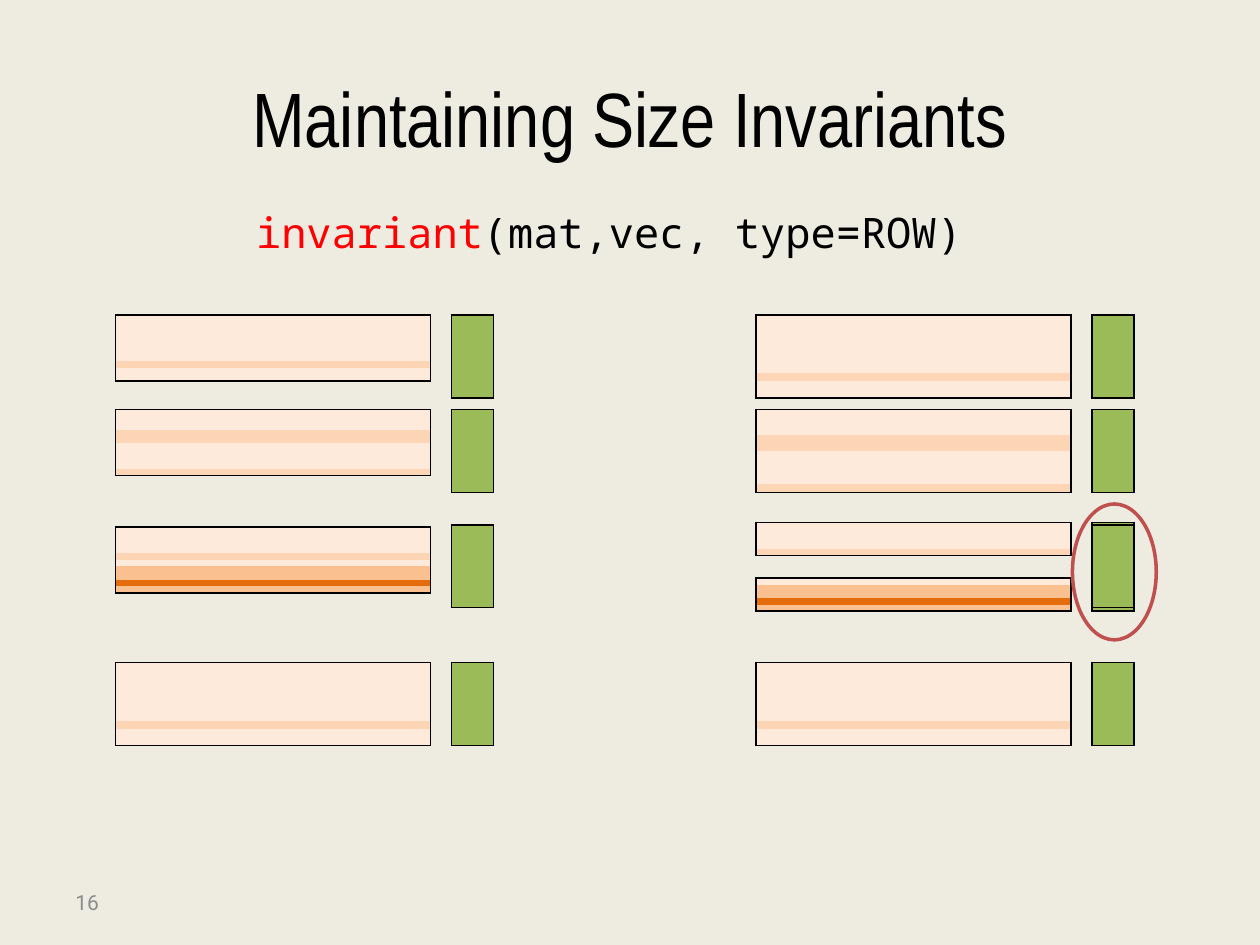
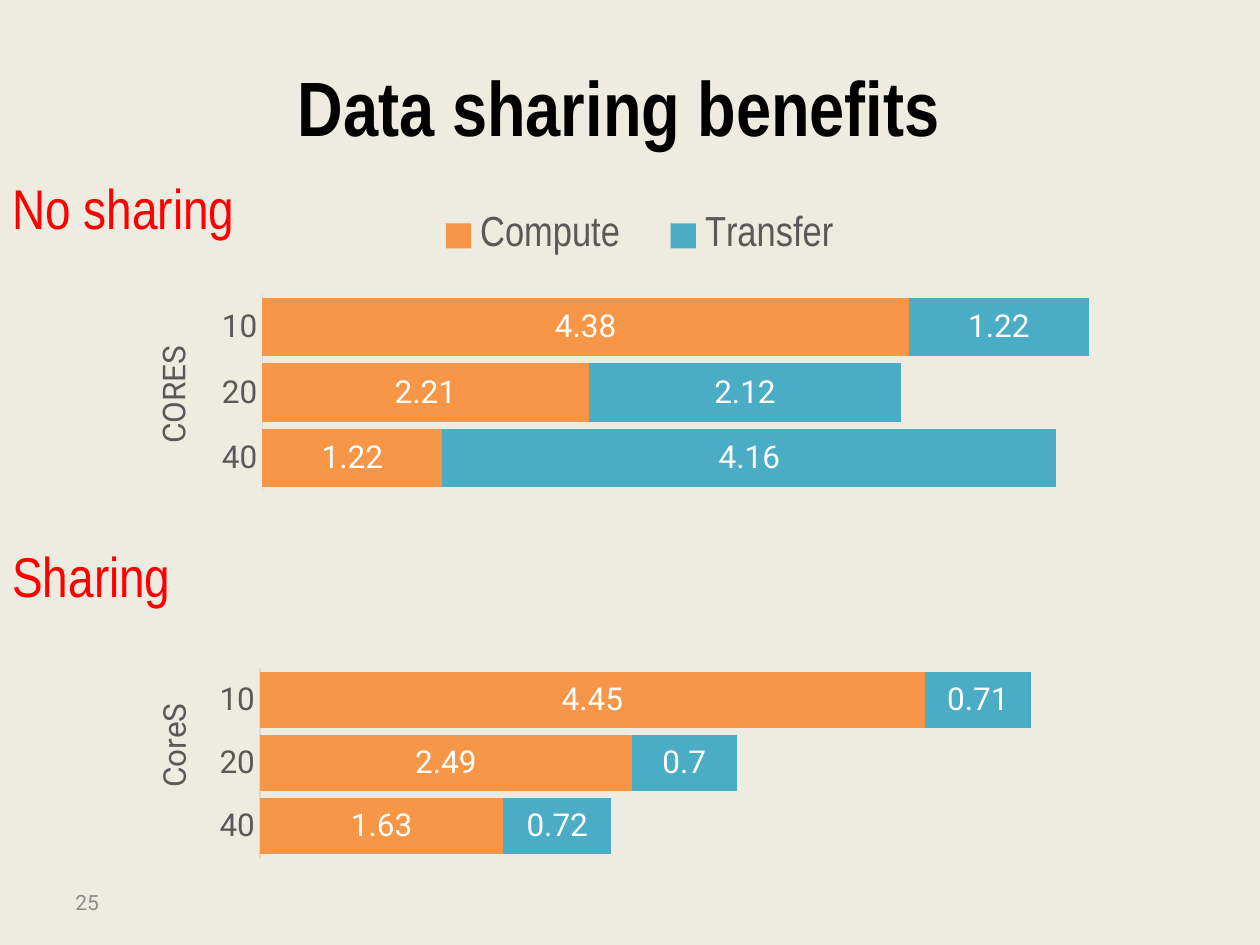
from dataclasses import dataclass
from typing import Any

import lxml.etree
import pptx
import pptx.chart.data
import pptx.dml.color
import pptx.enum.chart
import pptx.enum.shapes
import pptx.enum.text
import pptx.oxml.ns
import pptx.util

Cm = pptx.util.Cm
Pt = pptx.util.Pt
qn = pptx.oxml.ns.qn
Align = pptx.enum.text.PP_ALIGN
Anchor = pptx.enum.text.MSO_ANCHOR
Fit = pptx.enum.text.MSO_AUTO_SIZE


# Colours, fonts and type sizes
@dataclass(frozen=True)
class Theme:
    paper: str = "EEECE1"
    ink: str = "000000"
    red: str = "FF0000"
    ring: str = "C0504D"
    gray: str = "595959"
    pale: str = "8C8C8C"
    rule: str = "D9D9D9"
    white: str = "FFFFFF"
    bars: tuple = ("F79646", "4BACC6")
    head: str = "Arial Narrow"
    code: str = "Noto Sans Mono"
    body: str = "Roboto"
    big: int = 44
    mark: int = 32
    mid: int = 24
    small: int = 18
    foot: int = 12


T = Theme()
# Row kinds: a-d are matrix shades, v is the vector
SHADES = {"a": "FDEADA", "b": "FCD5B5", "c": "FAC090", "d": "E46C0A", "v": "9BBB59"}


@dataclass(frozen=True)
class Box:
    x: float
    y: float
    w: float
    h: float

    def at(self) -> tuple:
        return Cm(self.x), Cm(self.y), Cm(self.w), Cm(self.h)


@dataclass(frozen=True)
class Run:
    text: str
    size: int
    face: str
    color: str
    bold: bool = False


@dataclass(frozen=True)
class Block:
    x: float
    y: float
    w: float
    h: float
    rows: str


@dataclass(frozen=True)
class Graph:
    box: Box
    axis: str
    spot: tuple
    plot: tuple
    data: dict
    key: tuple = ()


# Shared helpers
def rgb(code: str) -> Any:
    return pptx.dml.color.RGBColor.from_string(code)


def apply(item: Any, vals: dict) -> None:
    for name, val in vals.items():
        setattr(item, name, val)


def ink(font: Any, size: int, face: str, color: str, bold: bool = False) -> None:
    apply(font, {"size": Pt(size), "name": face, "bold": bold})
    font.color.rgb = rgb(color)


def write(shape: Any, runs: list[Run], align: Any, anchor: Any, fit: Any) -> None:
    frame = shape.text_frame
    apply(frame, {"word_wrap": True, "auto_size": fit, "vertical_anchor": anchor})
    line = frame.paragraphs[0]
    line.alignment = align
    for part in runs:
        run = line.add_run()
        run.text = part.text
        ink(run.font, part.size, part.face, part.color, part.bold)


def label(slide: Any, box: Box, runs: list[Run], align: Any = Align.LEFT,
          anchor: Any = Anchor.TOP, fit: Any = Fit.SHAPE_TO_FIT_TEXT) -> None:
    write(slide.shapes.add_textbox(*box.at()), runs, align, anchor, fit)


def start(deck: Any, title: str, box: Box, page: str, bold: bool = False) -> Any:
    """Add a slide with its background, title and page number."""
    slide = deck.slides.add_slide(deck.slide_layouts[5])
    fill = slide.background.fill
    fill.solid()
    fill.fore_color.rgb = rgb(T.paper)
    head = slide.shapes.title
    apply(head, dict(zip(("left", "top", "width", "height"), box.at())))
    write(head, [Run(title, T.big, T.head, T.ink, bold)],
          Align.CENTER, Anchor.MIDDLE, Fit.NONE)
    label(slide, Box(1.27, 17.68, 5.92, 1.02), [Run(page, T.foot, T.body, T.pale)],
          anchor=Anchor.MIDDLE, fit=Fit.NONE)
    return slide


# Striped tables
def edge(cell: Any, sides: str) -> None:
    props = cell._tc.get_or_add_tcPr()
    for side in sides:
        line = lxml.etree.SubElement(props, qn(f"a:ln{side}"), w=str(Pt(1)))
        fill = lxml.etree.SubElement(line, qn("a:solidFill"))
        lxml.etree.SubElement(fill, qn("a:srgbClr"), val=T.ink)


def stripe(slide: Any, block: Block) -> None:
    count = len(block.rows)
    box = Box(block.x, block.y, block.w, block.h)
    table = slide.shapes.add_table(count, 1, *box.at()).table
    apply(table, {"first_row": False, "horz_banding": False})
    # "No style, no grid"
    table._tbl.tblPr.find(qn("a:tableStyleId")).text = "{2D5ABB26-0587-4C30-8999-92F81FD0307C}"
    for i, kind in enumerate(block.rows):
        cell = table.cell(i, 0)
        apply(cell, {f"margin_{s}": 0 for s in ("left", "right", "top", "bottom")})
        edge(cell, "LR" + "T" * (i == 0) + "B" * (i == count - 1))
        cell.fill.solid()
        cell.fill.fore_color.rgb = rgb(SHADES[kind])
        # Tiny type keeps the rows thin
        lxml.etree.SubElement(cell.text_frame.paragraphs[0]._p, qn("a:endParaRPr"), sz="100")


# Stacked bar charts
def place(node: Any, index: int, spot: tuple, inner: bool = False) -> None:
    """Give a chart part a manual layout in fractions of the chart."""
    for old in node.findall(qn("c:layout")):
        node.remove(old)
    layout = lxml.etree.Element(qn("c:layout"))
    manual = lxml.etree.SubElement(layout, qn("c:manualLayout"))
    vals = {"layoutTarget": "inner"} if inner else {}
    vals |= {"xMode": "edge", "yMode": "edge"} | dict(zip("xywh", spot))
    for name, val in vals.items():
        lxml.etree.SubElement(manual, qn(f"c:{name}"), val=str(val))
    node.insert(index, layout)


def draw(slide: Any, graph: Graph) -> None:
    data = pptx.chart.data.CategoryChartData()
    data.categories = ["10", "20", "40"]
    for name, vals in graph.data.items():
        data.add_series(name, vals)
    kind = pptx.enum.chart.XL_CHART_TYPE.BAR_STACKED
    chart = slide.shapes.add_chart(kind, *graph.box.at(), data).chart
    apply(chart, {"has_title": False, "has_legend": bool(graph.key)})
    ink(chart.font, T.small, T.body, T.ink)
    plot = chart.plots[0]
    apply(plot, {"gap_width": 12, "overlap": 100, "vary_by_categories": False})
    for series, color in zip(plot.series, T.bars):
        series.format.fill.solid()
        series.format.fill.fore_color.rgb = rgb(color)
        tags = series.data_labels
        apply(tags, {"show_value": True,
                     "position": pptx.enum.chart.XL_LABEL_POSITION.CENTER})
        ink(tags.font, T.small, T.body, T.white)

    # Axes
    apply(chart.value_axis, {"minimum_scale": 0, "maximum_scale": 6,
                             "has_major_gridlines": False, "visible": False})
    axis = chart.category_axis
    none = pptx.enum.chart.XL_TICK_MARK.NONE
    apply(axis, {"reverse_order": True, "major_tick_mark": none,
                 "minor_tick_mark": none, "has_major_gridlines": False})
    ink(axis.tick_labels.font, T.small, T.body, T.gray)
    axis.format.line.width = Pt(0.75)
    axis.format.line.color.rgb = rgb(T.rule)
    run = axis.axis_title.text_frame.paragraphs[0].add_run()
    run.text = graph.axis
    ink(run.font, T.small, T.body, T.gray)
    title = axis.axis_title._element
    apply_rot = title.find(".//" + qn("a:bodyPr"))
    for name, val in {"rot": "-5400000", "vert": "horz"}.items():
        apply_rot.set(name, val)
    place(title, 1, graph.spot)
    place(chart._chartSpace.chart.plotArea, 0, graph.plot, True)

    # Legend
    if graph.key:
        chart.legend.include_in_layout = False
        ink(chart.legend.font, T.mid, T.head, T.gray)
        place(chart.legend._element, 1, graph.key)


# Slide: matrices and vectors, before and after
LEFT, RIGHT = 2.33, 15.24
WIDE, SLIM, GAP = 6.35, 0.85, 6.77
TALL, LOW, HALF = 1.67, 1.33, 0.67
TOPS = (6.35, 8.26, 13.36)
ONE, TWO = "aaaaaaabaa", "aaabbaaaab"
VEC = "v" * 10


def sizes(deck: Any) -> None:
    slide = start(deck, "Maintaining Size Invariants", Box(1.27, 0.76, 22.86, 3.18), "16")
    for x, highs in ((LEFT, (LOW, LOW, TALL)), (RIGHT, (TALL,) * 3)):
        for y, high, rows in zip(TOPS, highs, (ONE, TWO, ONE)):
            stripe(slide, Block(x, y, WIDE, high, rows))
            stripe(slide, Block(x + GAP, y, SLIM, TALL, VEC))
    # Third row: whole on the left, split on the right
    stripe(slide, Block(LEFT, 10.62, WIDE, LOW, "aaaabaccdc"))
    for y, rows in ((10.53, "aaaab"), (11.65, "accdc")):
        stripe(slide, Block(RIGHT, y, WIDE, HALF, rows))
        stripe(slide, Block(RIGHT + GAP, y, SLIM, HALF, VEC[:5]))
    for x in (LEFT, RIGHT):
        stripe(slide, Block(x + GAP, 10.58, SLIM, TALL, VEC))
    label(slide, Box(3.81, 4.04, 16.93, 1.27),
          [Run("invariant", T.mid, T.code, T.red),
           Run("(mat,vec, type=ROW)", T.mid, T.code, T.ink)], Align.CENTER)
    oval = pptx.enum.shapes.MSO_SHAPE.OVAL
    ring = slide.shapes.add_shape(oval, *Box(21.62, 10.16, 1.69, 2.74).at())
    ring.shadow.inherit = False
    ring.fill.background()
    ring.line.width = Pt(2)
    ring.line.color.rgb = rgb(T.ring)


# Slide: run times without and with sharing
GRAPHS = (
    Graph(Box(2.33, 12.22, 21.39, 5.28), "CoreS", (0.03, 0.35),
          (0.136, 0.237, 0.845, 0.724),
          {"Series 1": (4.45, 2.49, 1.63), "Series 2": (0.71, 0.7, 0.72)}),
    Graph(Box(2.33, 4.01, 21.13, 6.78), "CORES", (0.03, 0.42),
          (0.14, 0.284, 0.845, 0.584),
          {"Compute": (4.38, 2.21, 1.22), "Transfer": (1.22, 2.12, 4.16)},
          (0.28, 0.02, 0.44, 0.18)),
)


def gains(deck: Any) -> None:
    slide = start(deck, "Data sharing benefits", Box(0.84, 1.07, 23.29, 2.13), "25", True)
    for graph in GRAPHS:
        draw(slide, graph)
    for text, y, wide in (("No sharing", 3.38, 8.05), ("Sharing", 10.8, 6.35)):
        label(slide, Box(0, y, wide, 1.63), [Run(text, T.mark, T.head, T.red)])


def main() -> None:
    deck = pptx.Presentation()
    apply(deck, {"slide_width": Cm(25.4), "slide_height": Cm(19.05)})
    sizes(deck)
    gains(deck)
    deck.save("out.pptx")


if __name__ == "__main__":
    main()
